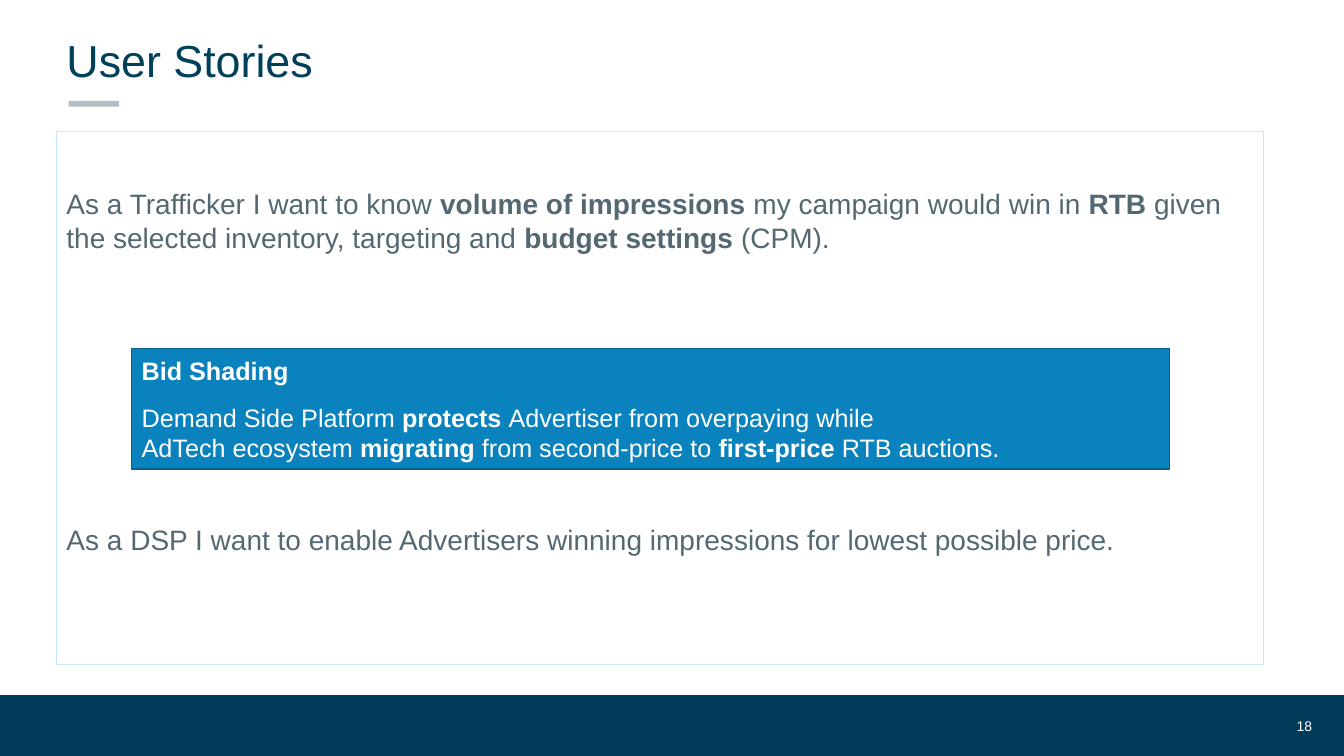
from lxml import etree
from pptx import Presentation
from pptx.dml.color import RGBColor
from pptx.enum.shapes import MSO_SHAPE as Shape
from pptx.enum.text import MSO_ANCHOR as Anchor, MSO_AUTO_SIZE as AutoSize, PP_ALIGN as Align
from pptx.oxml.ns import qn
from pptx.util import Cm, Pt

NAVY = RGBColor(0x00, 0x3C, 0x5A)
TITLE_BLUE = RGBColor(0x00, 0x40, 0x5A)
SILVER = RGBColor(0xB4, 0xBD, 0xC2)
PALE_BLUE = RGBColor(0xC4, 0xE9, 0xFC)
SLATE = RGBColor(0x53, 0x68, 0x73)
BLUE = RGBColor(0x0A, 0x82, 0xBE)
DARK_BLUE = RGBColor(0x07, 0x60, 0x8D)
WHITE = RGBColor(0xFF, 0xFF, 0xFF)


def write_lines(paragraph, lines, size, color):
    """Write lines split by breaks; text between ** marks is bold."""
    paragraph.alignment = Align.LEFT
    paragraph.space_after = Pt(12)
    for number, line in enumerate(lines):
        if number:
            paragraph.add_line_break()
        for index, part in enumerate(line.split("**")):
            if part:
                run = paragraph.add_run()
                run.text = part
                run.font.name = "Arial"
                run.font.size = Pt(size)
                run.font.color.rgb = color
                run.font.bold = index % 2 == 1


def add_box(left, top, width, height, fill):
    box = slide.shapes.add_shape(Shape.RECTANGLE, Cm(left), Cm(top), Cm(width), Cm(height))
    box.shadow.inherit = False
    box.fill.solid()
    box.fill.fore_color.rgb = fill
    box.line.fill.background()
    return box


prs = Presentation()
prs.slide_width, prs.slide_height = Cm(33.87), Cm(19.05)
slide = prs.slides.add_slide(prs.slide_layouts[1])

# Footer band and title accent
add_box(0, 17.52, 33.87, 1.53, NAVY)
add_box(1.73, 2.54, 1.27, 0.15, SILVER)

title = slide.shapes.title
title.left, title.top, title.width, title.height = Cm(1.42), Cm(0.53), Cm(30.99), Cm(1.93)
title.text_frame.vertical_anchor = Anchor.MIDDLE
title.text_frame.auto_size = AutoSize.NONE
write_lines(title.text_frame.paragraphs[0], ["User Stories"], 32, TITLE_BLUE)

# User stories
stories = slide.placeholders[1]
stories.left, stories.top, stories.width, stories.height = Cm(1.42), Cm(3.32), Cm(30.42), Cm(13.42)
stories.line.color.rgb = PALE_BLUE
stories.line.width = Pt(0.75)
stories_frame = stories.text_frame
stories_frame.auto_size = AutoSize.NONE
stories_frame.margin_top = Cm(1.38)
trafficker_story = stories_frame.paragraphs[0]
dsp_story = stories_frame.add_paragraph()
for story, text, gap in (
    (trafficker_story,
     "As a Trafficker I want to know **volume of impressions** my campaign would win in **RTB** given "
     "the selected inventory, targeting and **budget settings **(CPM).", 0),
    (dsp_story,
     "As a DSP I want to enable Advertisers winning impressions for lowest possible price.", 180),
):
    properties = story._p.get_or_add_pPr()
    properties.set("marL", "0")
    properties.set("indent", "0")
    etree.SubElement(properties, qn("a:buNone"))
    story.space_before = Pt(gap)
    write_lines(story, [text], 20, SLATE)

# Bid shading callout
callout = add_box(3.32, 8.79, 26.15, 3.03, BLUE)
callout.line.color.rgb = DARK_BLUE
callout.line.width = Pt(1)
callout_frame = callout.text_frame
callout_frame.vertical_anchor = Anchor.MIDDLE
write_lines(callout_frame.paragraphs[0], ["**Bid Shading**"], 18, WHITE)
write_lines(callout_frame.add_paragraph(), [
    "Demand Side Platform **protects **Advertiser from overpaying while",
    "AdTech ecosystem **migrating** from second-price to **first-price** RTB auctions.",
], 18, WHITE)

page_number = slide.shapes.add_textbox(Cm(32.13), Cm(17.78), Cm(1.19), Cm(1.02))
page_frame = page_number.text_frame
page_frame.word_wrap = True
page_frame.vertical_anchor = Anchor.MIDDLE
write_lines(page_frame.paragraphs[0], ["18"], 10, WHITE)
page_frame.paragraphs[0].alignment = Align.RIGHT

prs.save("out.pptx")
